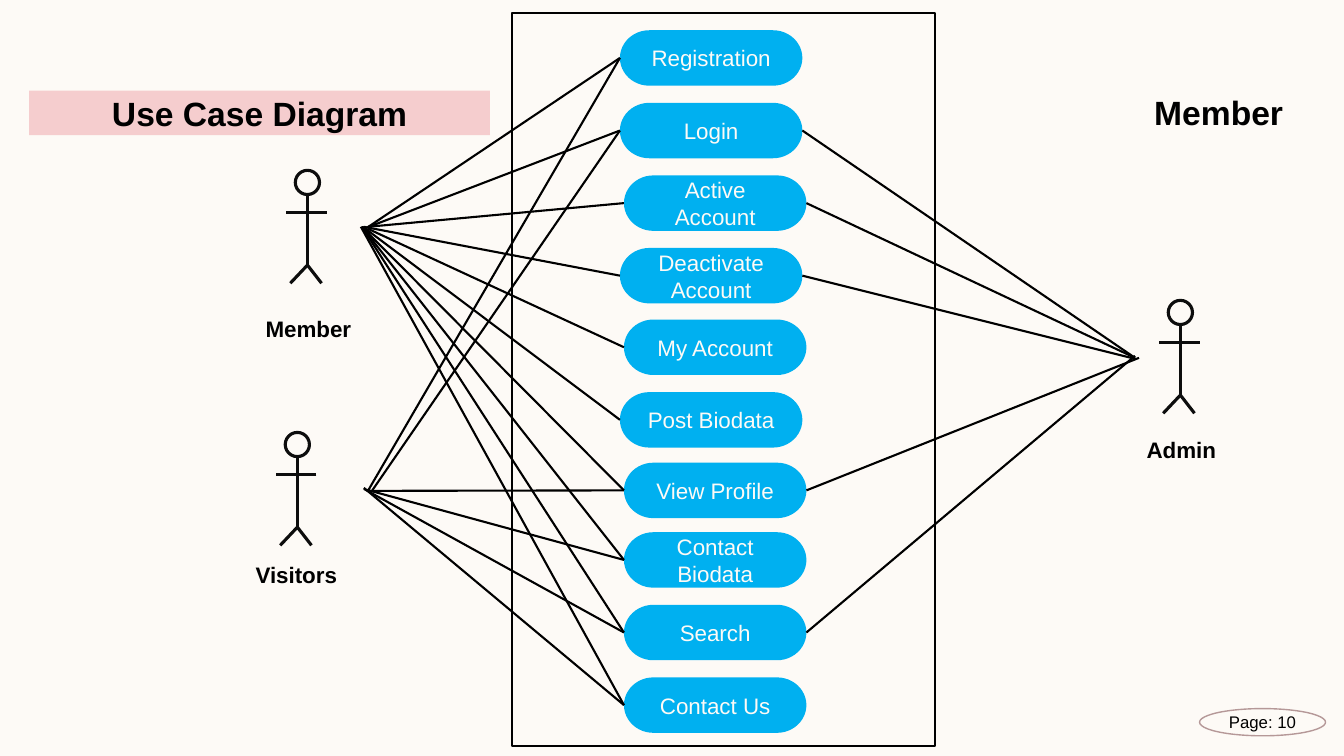
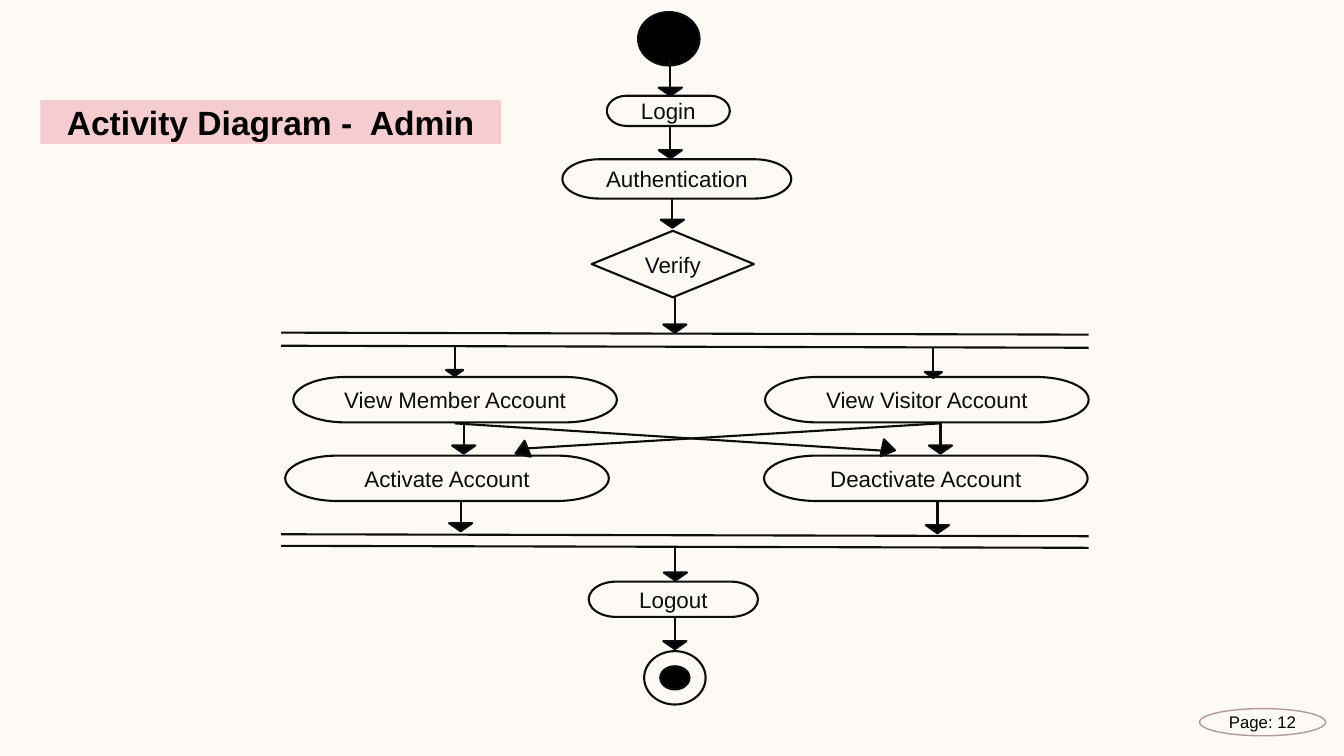
"""Build a use case diagram slide and an activity diagram slide."""
from dataclasses import dataclass
from typing import NamedTuple, Optional

from lxml import etree
from pptx import Presentation
from pptx.dml.color import RGBColor
from pptx.enum.shapes import MSO_CONNECTOR, MSO_SHAPE
from pptx.enum.text import MSO_ANCHOR, PP_ALIGN
from pptx.oxml.ns import qn
from pptx.presentation import Presentation as Deck
from pptx.shapes.autoshape import Shape
from pptx.shapes.shapetree import _BaseGroupShapes as Shapes
from pptx.slide import Slide
from pptx.util import Emu, Inches, Pt

COLS, ROWS = 133.33, 75
CELL = Inches(0.1)
FONT = "Arial"
CREAM, PINK, MAUVE, SKY = "FDFAF6", "F5CDCE", "B59898", "00B0F0"
BLACK, INK = "000000", "0D0D0D"
RECT, OVAL = MSO_SHAPE.RECTANGLE, MSO_SHAPE.OVAL
PILL, DIAMOND = MSO_SHAPE.FLOWCHART_TERMINATOR, MSO_SHAPE.FLOWCHART_DECISION
TRIANGLE = MSO_SHAPE.FLOWCHART_EXTRACT
STRAIGHT = MSO_CONNECTOR.STRAIGHT
MIDDLE, CENTER = MSO_ANCHOR.MIDDLE, PP_ALIGN.CENTER
CASE_W, CASE_H = 18.1, 5.5
LABEL_W, LABEL_H = 22.6, 5.5


class Point(NamedTuple):
    """A place on the grid."""
    col: float
    row: float


class Box(NamedTuple):
    """A rectangle on the grid."""
    col: float
    row: float
    cols: float
    rows: float


@dataclass(frozen=True)
class Style:
    """Fill, outline and text look of a shape."""
    fill: Optional[str] = None
    line: Optional[str] = None
    weight: float = 1.5
    size: float = 16
    color: str = INK
    bold: bool = False
    wrap: bool = False


@dataclass(frozen=True)
class UseCase:
    """A labelled pill inside the system frame."""
    text: str
    col: float
    row: float


@dataclass(frozen=True)
class Actor:
    """A stick figure, its label and the origins of its links by case."""
    name: str
    head: Point
    label: Point
    links: dict[str, Point]
    on_right: bool = False


@dataclass(frozen=True)
class Node:
    """A step of the activity flow."""
    text: str
    box: Box
    kind: MSO_SHAPE = PILL


@dataclass(frozen=True)
class Arrow:
    """A downward arrow ending at its tip row."""
    col: float
    start: float
    tip: float
    head: float = 2.3


class Slant(NamedTuple):
    """A crossing arrow with a turned head."""
    start: Point
    end: Point
    head: Box
    turn: float


TITLE = Style(fill=PINK, size=24, color=BLACK, bold=True, wrap=True)
HEADING = Style(size=24, color=BLACK, bold=True, wrap=True)
LABEL = Style(color=BLACK, bold=True, wrap=True)
PAGE = Style(line=MAUVE, weight=1, size=12, color=BLACK)
CASE = Style(fill=SKY, color=CREAM, wrap=True)
FRAME = Style(line=BLACK)
STEP = Style(line=INK)
SOLID = Style(fill=BLACK, line=INK)
HEAD = Style(line=INK, weight=2.25)

CASES = [
    UseCase("Registration", 61.5, 3),
    UseCase("Login", 61.5, 10.2),
    UseCase("Active Account", 61.9, 17.4),
    UseCase("Deactivate Account", 61.5, 24.6),
    UseCase("My Account", 61.9, 31.7),
    UseCase("Post Biodata", 61.5, 38.9),
    UseCase("View Profile", 61.9, 45.9),
    UseCase("Contact Biodata", 61.9, 52.8),
    UseCase("Search", 61.9, 60),
    UseCase("Contact Us", 61.9, 67.2),
]
ACTORS = [
    Actor("Member", Point(29.3, 16.9), Point(19.3, 29.8), {
        "Registration": Point(36.1, 22.8), "Login": Point(36.6, 22.5),
        "Active Account": Point(36.5, 22.5),
        "Deactivate Account": Point(36.1, 22.5),
        "My Account": Point(36.5, 22.7), "Post Biodata": Point(36, 22.5),
        "View Profile": Point(35.9, 22.5),
        "Contact Biodata": Point(35.9, 22.5),
        "Search": Point(35.9, 22.5), "Contact Us": Point(35.8, 22.5)}),
    Actor("Visitors", Point(28.3, 42.9), Point(18.1, 54.2), {
        "Registration": Point(36.5, 48.7), "Login": Point(36.9, 48.7),
        "View Profile": Point(36.6, 48.7),
        "Contact Biodata": Point(36.4, 48.6),
        "Search": Point(36.1, 48.5), "Contact Us": Point(36.1, 48.4)}),
    Actor("Admin", Point(115.9, 29.8), Point(105.9, 41.8), {
        "Login": Point(112.6, 35.5), "Active Account": Point(112.6, 35.5),
        "Deactivate Account": Point(112.6, 35.6),
        "View Profile": Point(113, 35.5),
        "Search": Point(112.6, 35.3)}, on_right=True),
]
LIMBS = [
    (Point(1.2, 2.5), Point(1.2, 9.4)),
    (Point(3.1, 4.2), Point(-0.9, 4.2)),
    (Point(1.2, 9.4), Point(-0.5, 11.2)),
    (Point(1.2, 9.4), Point(2.6, 11.2)),
]
NODES = [
    Node("Login", Box(60.2, 9.5, 12.2, 3)),
    Node("Authentication", Box(55.8, 15.8, 22.7, 3.9)),
    Node("Verify", Box(58.7, 22.9, 16.1, 6.6), DIAMOND),
    Node("View Member Account", Box(29.1, 37.4, 32.1, 4.5)),
    Node("View Visitor Account", Box(75.9, 37.4, 32.1, 4.5)),
    Node("Activate Account", Box(28.3, 45.2, 32.1, 4.5)),
    Node("Deactivate Account", Box(75.8, 45.2, 32.1, 4.5)),
    Node("Logout", Box(58.4, 57.7, 16.8, 3.5)),
]
ARROWS = [
    Arrow(66.5, 5.9, 9.5), Arrow(66.5, 12.5, 15.7),
    Arrow(66.7, 19.7, 22.6), Arrow(66.95, 29.4, 33),
    Arrow(45.1, 34.3, 37.3, 1.7), Arrow(92.6, 34.4, 37.5, 1.7),
    Arrow(46, 42, 45), Arrow(93.3, 42, 45),
    Arrow(45.7, 49.7, 52.7), Arrow(93, 49.7, 52.9),
    Arrow(67, 54.2, 57.6), Arrow(66.95, 61.3, 64.4),
]
SLANTS = [
    Slant(Point(45.1, 42), Point(87.4, 44.7), Box(87.3, 43.9, 1.7, 1.3), 101.4),
    Slant(Point(93.3, 42), Point(52, 44.5), Box(50.9, 44.1, 1.7, 1.3), 248.6),
]
BAR_ROWS = [33, 34.3, 53, 54.15]


def rgb(value: str) -> RGBColor:
    """Turn a hex string into a colour."""
    return RGBColor.from_string(value)


def grid(cells: float) -> Emu:
    """Turn grid cells into a length."""
    return Emu(round(cells * CELL))


def write(shape: Shape, text: str, style: Style) -> None:
    """Put one centred run into a shape."""
    tf = shape.text_frame
    tf.word_wrap = style.wrap
    tf.vertical_anchor = MIDDLE
    p = tf.paragraphs[0]
    p.alignment = CENTER
    r = p.add_run()
    r.text = text
    r.font.name = FONT
    r.font.size = Pt(style.size)
    r.font.bold = style.bold
    r.font.color.rgb = rgb(style.color)


def draw(shapes: Shapes, kind: MSO_SHAPE, box: Box, style: Style,
         text: str = "", turn: float = 0) -> None:
    """Draw a preset shape on the grid."""
    sp = shapes.add_shape(kind, *map(grid, box))
    sp.shadow.inherit = False
    sp.rotation = turn
    if style.fill:
        sp.fill.solid()
        sp.fill.fore_color.rgb = rgb(style.fill)
    else:
        sp.fill.background()
    if style.line:
        sp.line.color.rgb = rgb(style.line)
        sp.line.width = Pt(style.weight)
    else:
        sp.line.fill.background()
    if text:
        write(sp, text, style)


def label(shapes: Shapes, at: Point, text: str, style: Style) -> None:
    """Add a text box of the common label size."""
    sp = shapes.add_textbox(*map(grid, (*at, LABEL_W, LABEL_H)))
    write(sp, text, style)


def connect(shapes: Shapes, start: Point, end: Point, color: str = INK,
            weight: float = 1.5) -> None:
    """Draw a straight line without shadow."""
    line = shapes.add_connector(STRAIGHT, *map(grid, (*start, *end)))
    line.line.color.rgb = rgb(color)
    line.line.width = Pt(weight)
    etree.SubElement(line.element.spPr, qn("a:effectLst"))


def new_slide(prs: Deck, title: str, at: Point, page: int) -> Slide:
    """Add a blank slide with background, title band and page mark."""
    s = prs.slides.add_slide(prs.slide_layouts[6])
    s.background.fill.solid()
    s.background.fill.fore_color.rgb = rgb(CREAM)
    draw(s.shapes, RECT, Box(*at, 45.7, 4.4), TITLE, title)
    draw(s.shapes, OVAL, Box(119, 70.3, 12.5, 2.7), PAGE, f"Page: {page}")
    return s


def draw_actor(s: Slide, actor: Actor) -> None:
    """Draw a grouped stick figure, its label and its links."""
    figure = s.shapes.add_group_shape().shapes
    col, row = actor.head
    draw(figure, OVAL, Box(col, row, 2.4, 2.4), HEAD)
    for a, b in LIMBS:
        connect(figure, Point(col + a.col, row + a.row),
                Point(col + b.col, row + b.row), INK, HEAD.weight)
    label(s.shapes, actor.label, actor.name, LABEL)
    for case in CASES:
        if case.text in actor.links:
            edge = case.col + CASE_W * actor.on_right
            connect(s.shapes, Point(edge, case.row + CASE_H / 2),
                    actor.links[case.text], BLACK)


def use_case_slide(prs: Deck) -> None:
    """Build the use case diagram."""
    s = new_slide(prs, "Use Case Diagram", Point(2.9, 9), 10)
    label(s.shapes, Point(109.6, 8.4), "Member", HEADING)
    draw(s.shapes, RECT, Box(50.8, 1.3, 42, 72.7), FRAME)
    for case in CASES:
        draw(s.shapes, PILL, Box(case.col, case.row, CASE_W, CASE_H), CASE,
             case.text)
    for actor in ACTORS:
        draw_actor(s, actor)


def activity_slide(prs: Deck) -> None:
    """Build the activity diagram."""
    s = new_slide(prs, "Activity Diagram -  Admin", Point(4, 9.9), 12)
    draw(s.shapes, OVAL, Box(63.3, 1.2, 6.1, 5.3), SOLID)
    for node in NODES:
        draw(s.shapes, node.kind, node.box, STEP, node.text)
    for row in BAR_ROWS:
        connect(s.shapes, Point(27.9, row), Point(108, row + 0.2))
    for arrow in ARROWS:
        height = arrow.head * 0.35
        top = arrow.tip - height
        connect(s.shapes, Point(arrow.col, arrow.start), Point(arrow.col, top))
        draw(s.shapes, TRIANGLE, Box(arrow.col - arrow.head / 2, top,
                                     arrow.head, height), SOLID, turn=180)
    for slant in SLANTS:
        connect(s.shapes, slant.start, slant.end)
        draw(s.shapes, TRIANGLE, slant.head, SOLID, turn=slant.turn)
    draw(s.shapes, OVAL, Box(63.9, 64.6, 6.1, 5.3), STEP)
    draw(s.shapes, OVAL, Box(65.5, 66.1, 2.9, 2.3), SOLID)


def main() -> None:
    """Build and save the deck."""
    prs = Presentation()
    prs.slide_width, prs.slide_height = grid(COLS), grid(ROWS)
    use_case_slide(prs)
    activity_slide(prs)
    prs.save("out.pptx")


if __name__ == "__main__":
    main()
